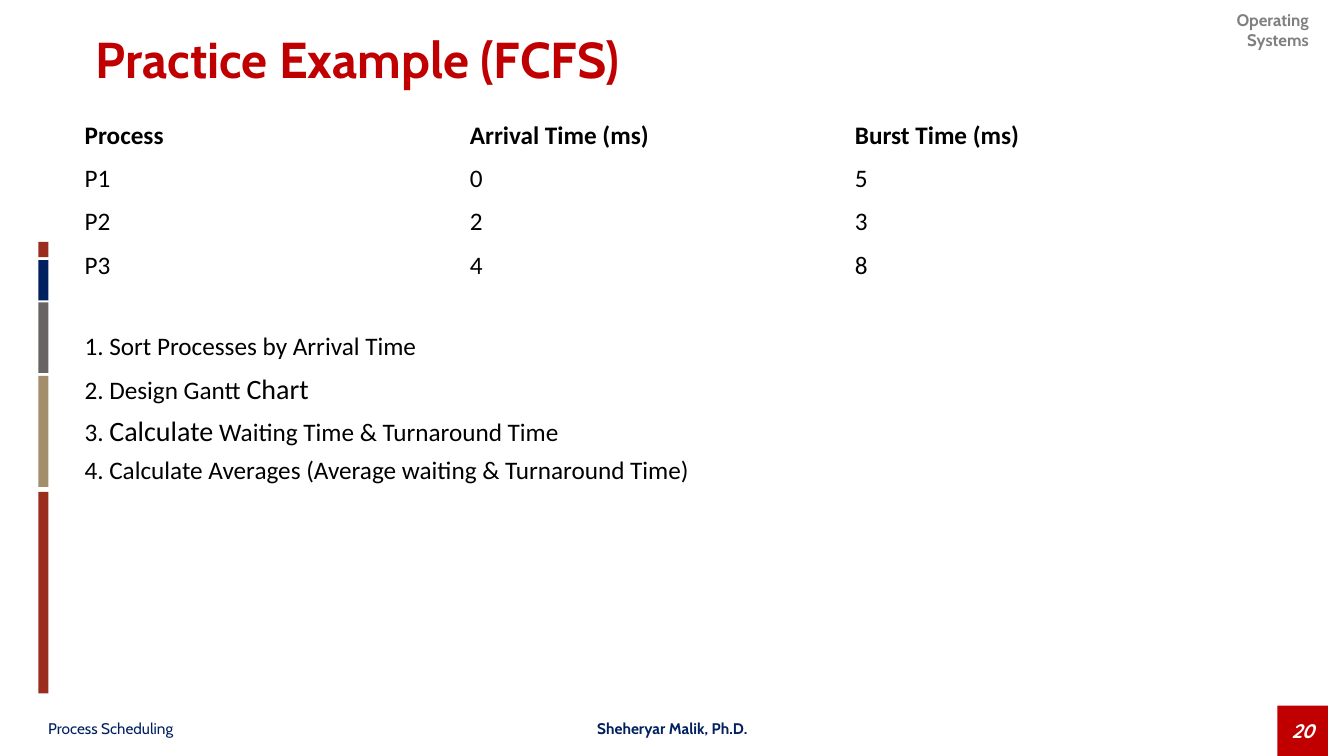
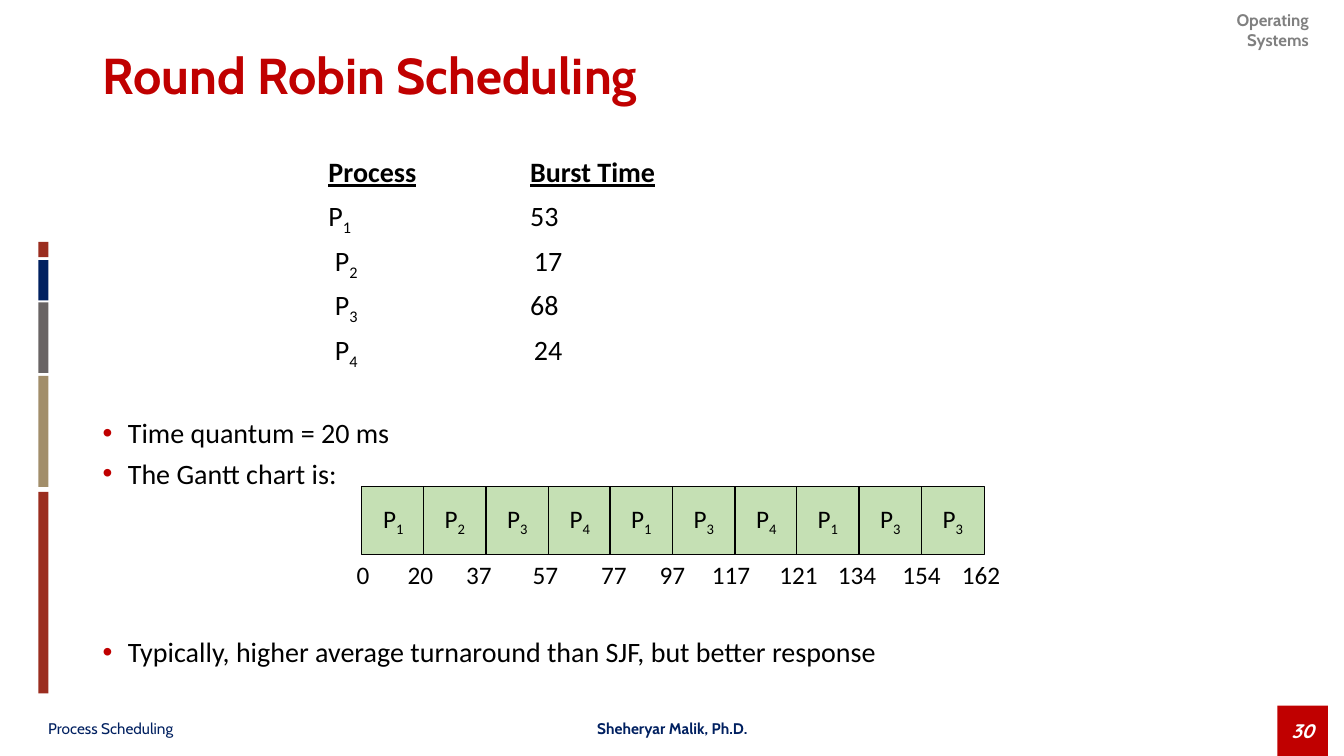
from lxml import etree
from pptx import Presentation
from pptx.dml.color import RGBColor
from pptx.enum.shapes import MSO_SHAPE
from pptx.enum.text import MSO_ANCHOR, PP_ALIGN
from pptx.oxml.ns import qn
from pptx.util import Pt

PX = 9144
RECT = MSO_SHAPE.RECTANGLE
MID = MSO_ANCHOR.MIDDLE
TOP = MSO_ANCHOR.TOP
LEFT = PP_ALIGN.LEFT
MIDST = PP_ALIGN.CENTER
RIGHT = PP_ALIGN.RIGHT

RED = "C00000"
NAVY = "002060"
RUST = "9B2D1F"
BLACK = "000000"

TITLE = {"name": "Cabin", "size": Pt(36), "bold": True, "ink": RED}
HEAD = {"name": "Cabin", "size": Pt(12), "bold": True, "ink": "808080"}
FOOT = {"name": "Cabin", "size": Pt(11), "ink": NAVY}
PAGE = {"name": "Quicksand", "size": Pt(14), "bold": True, "italic": True, "ink": "FFFFFF"}
BODY = {"name": "Calibri", "size": Pt(18), "ink": BLACK}
LARGE = {**BODY, "size": Pt(20)}
LABEL = {**LARGE, "bold": True, "underline": True}
SUB = {"base": "-25000"}

BARS = [
    (488, 200, RUST),
    (373, 110, "A28E6A"),
    (300, 70, "696464"),
    (240, 15, RUST),
    (258, 40, NAVY),
]
NOTES = [
    ((1155, 5, 153, 50), "Operating Systems", HEAD, RIGHT, TOP),
    ((38, 706, 440, 33), "Process Scheduling", FOOT, LEFT, MID),
    ((447, 706, 440, 33), "Sheheryar Malik, Ph.D.", {**FOOT, "bold": True}, MIDST, MID),
]
PAGES = [
    ("Practice Example (FCFS)", "20", (85, -11, 1150, 145)),
    ("Round Robin Scheduling", "30", (92, 5, 1150, 145)),
]


def hue(code):
    return RGBColor.from_string(code)


def write(para, runs, look, align=LEFT):
    para.alignment = align
    for words, more in runs:
        run = para.add_run()
        run.text = words
        for key, value in {**look, **more}.items():
            if key == "ink":
                run.font.color.rgb = hue(value)
            elif key == "base":
                run._r.get_or_add_rPr().set("baseline", value)
            else:
                setattr(run.font, key, value)


deck = Presentation()
deck.slide_width = 1333 * PX
deck.slide_height = 750 * PX

slides = []
for name, page, place in PAGES:
    slide = deck.slides.add_slide(deck.slide_layouts[5])
    slides.append(slide)
    title = slide.shapes.title
    title.left, title.top, title.width, title.height = [v * PX for v in place]
    title.text_frame.vertical_anchor = MID
    title.text_frame.paragraphs[0].line_spacing = 0.9
    write(title.text_frame.paragraphs[0], [(name, {})], TITLE)

    for place, words, look, align, anchor in NOTES:
        frame = slide.shapes.add_textbox(*[v * PX for v in place]).text_frame
        frame.word_wrap = True
        frame.vertical_anchor = anchor
        write(frame.paragraphs[0], [(words, {})], look, align)

    blocks = [(38, top, 10, tall, ink) for top, tall, ink in BARS]
    for *place, ink in blocks + [(1267, 700, 50, 50, RED)]:
        block = slide.shapes.add_shape(RECT, *[v * PX for v in place])
        block.shadow.inherit = False
        block.fill.solid()
        block.fill.fore_color.rgb = hue(ink)
        block.line.fill.background()
    write(block.text_frame.paragraphs[0], [(page, {})], PAGE, MIDST)

first, second = slides

TIMES = [
    ("Process", "Arrival Time (ms)", "Burst Time (ms)"),
    ("P1", "0", "5"),
    ("P2", "2", "3"),
    ("P3", "4", "8"),
]
table = first.shapes.add_table(4, 3, 74 * PX, 113 * PX, 1146 * PX, 172 * PX).table
table.first_row = False
table.horz_banding = False
for r, row in enumerate(TIMES):
    for c, words in enumerate(row):
        cell = table.cell(r, c)
        cell.fill.background()
        cell.vertical_anchor = MID
        write(cell.text_frame.paragraphs[0], [(words, {"bold": r == 0})], BODY)

STEPS = [
    [("1. Sort Processes by Arrival Time", {})],
    [("2. Design Gantt ", {}), ("Chart", LARGE)],
    [("3. ", {}), ("Calculate", LARGE), (" Waiting Time & Turnaround Time", {})],
    [("4. Calculate Averages (Average waiting & Turnaround Time)", {})],
]
for i, runs in enumerate(STEPS):
    frame = first.shapes.add_textbox(74 * PX, (323 + 41 * i) * PX, 627 * PX, 40 * PX).text_frame
    frame.word_wrap = True
    write(frame.paragraphs[0], runs, BODY)

BURSTS = [
    [("Process", LABEL), ("\t", {}), ("Burst Time", LABEL)],
    [("P", {}), ("1\t", SUB), ("53", {})],
    [(" P", {}), ("2\t ", SUB), ("17", {})],
    [(" P", {}), ("3\t", SUB), ("68", {})],
    [(" P", {}), ("4\t ", SUB), ("24", {})],
]
frame = second.shapes.add_textbox(316 * PX, 155 * PX, 450 * PX, 230 * PX).text_frame
frame.word_wrap = True
for i, runs in enumerate(BURSTS):
    para = frame.add_paragraph() if i else frame.paragraphs[0]
    para.line_spacing = 0.8
    para.space_before = Pt(10 if i else 0)
    tabs = etree.SubElement(para._p.get_or_add_pPr(), qn("a:tabLst"))
    etree.SubElement(tabs, qn("a:tab"), pos=str(200 * PX), algn="l")
    write(para, runs, LARGE)

POINTS = [
    ("Time quantum = 20 ms", 0),
    ("The Gantt chart is:", 10),
    ("Typically, higher average turnaround than SJF, but better response", 108),
]
frame = second.shapes.add_textbox(92 * PX, 414 * PX, 1150 * PX, 281 * PX).text_frame
frame.word_wrap = True
for i, (words, gap) in enumerate(POINTS):
    para = frame.add_paragraph() if i else frame.paragraphs[0]
    para.line_spacing = 0.8
    para.space_before = Pt(gap)
    props = para._p.get_or_add_pPr()
    props.set("marL", str(25 * PX))
    props.set("indent", str(-25 * PX))
    tint = etree.SubElement(props, qn("a:buClr"))
    etree.SubElement(tint, qn("a:srgbClr"), val=RED)
    etree.SubElement(props, qn("a:buFont"), typeface="Arial")
    etree.SubElement(props, qn("a:buChar"), char="•")
    write(para, [(words, {})], LARGE)

for i, digit in enumerate("1234134133"):
    slot = second.shapes.add_shape(RECT, (359 + 617 * i // 10) * PX, 483 * PX, 62 * PX, 67 * PX)
    slot.shadow.inherit = False
    slot.fill.solid()
    slot.fill.fore_color.rgb = hue("C5E0B4")
    slot.line.color.rgb = hue(BLACK)
    slot.line.width = Pt(0.75)
    write(slot.text_frame.paragraphs[0], [("P", {}), (digit, SUB)], BODY, MIDST)

TICKS = {
    "0": 360, "20": 417, "37": 475, "57": 541, "77": 609, "97": 667,
    "117": 725, "121": 792, "134": 850, "154": 914, "162": 973,
}
for words, x in TICKS.items():
    frame = second.shapes.add_textbox((x - 30) * PX, 550 * PX, 60 * PX, 40 * PX).text_frame
    frame.word_wrap = True
    frame.vertical_anchor = MID
    write(frame.paragraphs[0], [(words, {})], BODY, MIDST)

deck.save("out.pptx")
